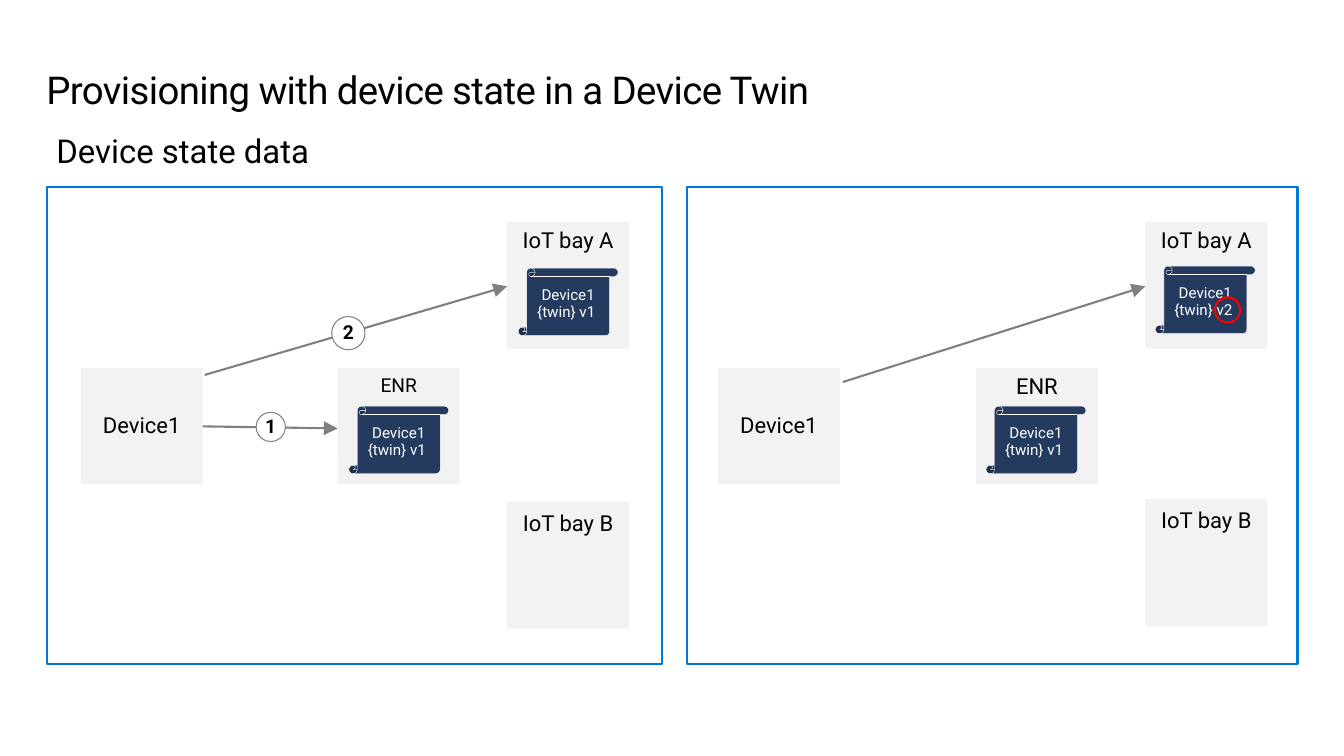
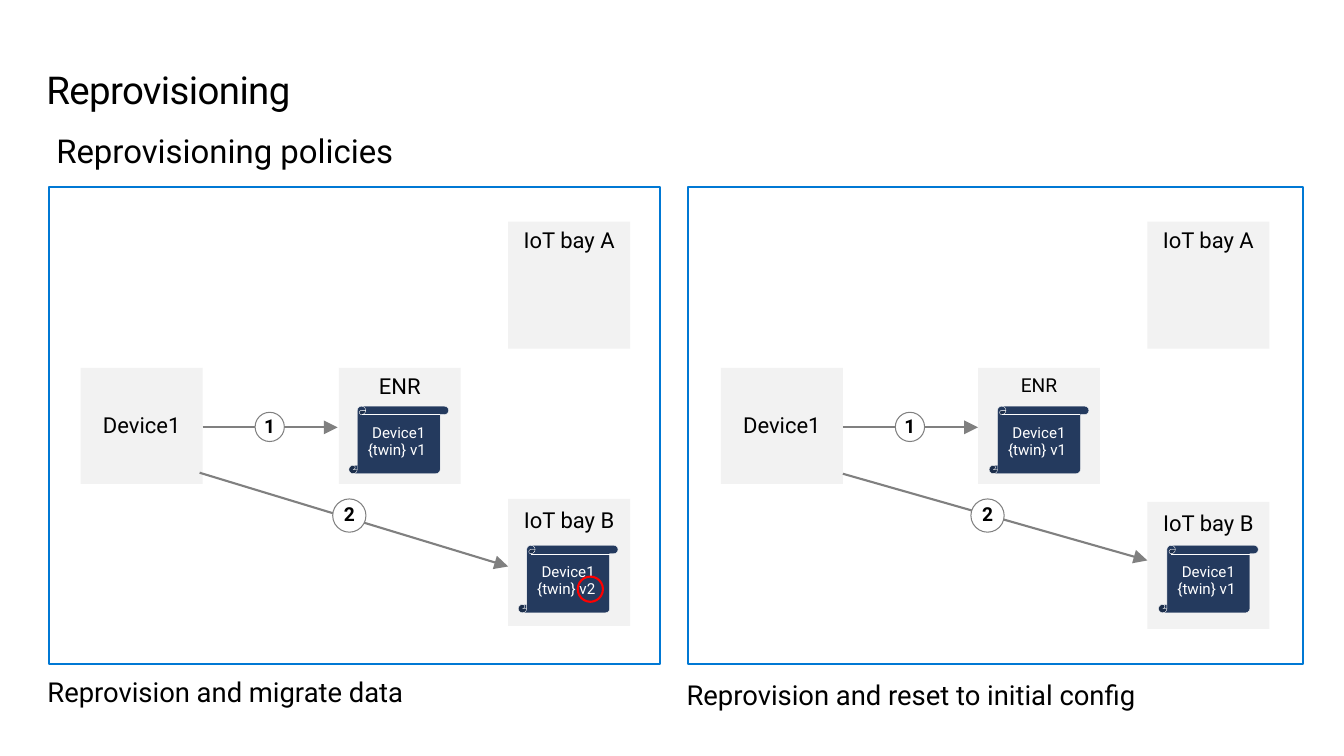
from dataclasses import dataclass
from typing import Any, NamedTuple

from pptx import Presentation
from pptx.dml.color import RGBColor
from pptx.enum.shapes import MSO_CONNECTOR as Wire, MSO_SHAPE as Kind
from pptx.enum.text import MSO_ANCHOR as Anchor, MSO_AUTO_SIZE as Auto, PP_ALIGN as Align
from pptx.oxml.ns import qn
from pptx.util import Inches, Pt

FONT = "Roboto"
BLACK, WHITE, GRAY = "000000", "FFFFFF", "808080"
BLUE, NAVY, PALE, RED = "0078D4", "243A5E", "F2F2F2", "FF0000"
TOP, TALL = 1.86, 4.73
MID = 3.65
SIDE, LOW, HIGH = 1.21, 1.15, 1.26
BAY_A = 2.2
LEAF = (0.99, 0.67)

Box = tuple[float, float, float, float]
Spot = tuple[float, float]


@dataclass(frozen=True)
class Look:
    size: float
    color: str = BLACK
    bold: bool = False
    align: Any = Align.CENTER
    anchor: Any = Anchor.TOP
    space: Any = None
    pad: Box = (0.1, 0.05, 0.1, 0.05)
    wrap: bool = True
    before: float = 0
    after: float = 0


FLUSH = {"align": Align.LEFT, "pad": (0, 0, 0, 0)}
TITLE = Look(27.4, space=Pt(31.4), **FLUSH)
HEAD = Look(23.5, align=Align.LEFT, pad=(0.1, 0, 0, 0), before=2, after=4)
NODE = Look(15.7, anchor=Anchor.MIDDLE, space=0.9)
NAME = Look(15.7)
SMALL = Look(13.7)
BASE = Look(15.7, space=0.9, pad=(0.1, 0.1, 0.1, 0.05))
TWIN = Look(10.8, WHITE, anchor=Anchor.MIDDLE, space=0.9)
DIGIT = Look(13.7, bold=True, anchor=Anchor.MIDDLE, space=0.9, pad=(0, 0, 0, 0), wrap=False)


class Grid(NamedTuple):
    wide: float
    node: float
    desk: float
    bay: float
    base: float
    leaf: float
    label: Look


BROAD = Grid(6.1, 0.33, 2.88, 4.56, 4.98, 0.11, SMALL)
SLIM = Grid(6.06, 0.31, 2.87, 4.55, 4.95, 0.1, NAME)


class Link(NamedTuple):
    start: Spot
    end: Spot


class Badge(NamedTuple):
    text: str
    at: Spot
    size: float


class Leaf(NamedTuple):
    top: float
    text: str
    ring: bool = False


class Panel(NamedTuple):
    left: float
    grid: Grid
    leaf: Leaf
    links: list[Link]
    badges: list[Badge]


class Note(NamedTuple):
    text: str
    at: Box
    look: Look


class Page(NamedTuple):
    title: str
    head: str
    panels: list[Panel]
    notes: list[Note]


ONE, TWO = "Device1 {twin} v1 ", "Device1 {twin} v2 "

PAGES = [
    Page("Provisioning with device state in a Device Twin", "Device state data", [
        Panel(0.47, BROAD, Leaf(2.66, ONE),
              [Link((1.56, 3.72), (4.56, 2.84)), Link((1.54, 4.23), (2.88, 4.25))],
              [Badge("1", (2.07, 4.09), 0.29), Badge("2", (2.82, 3.14), 0.33)]),
        Panel(6.81, SLIM, Leaf(2.64, TWO, True), [Link((1.55, 3.79), (4.55, 2.84))], []),
    ], []),
    Page("Reprovisioning", "Reprovisioning policies", [
        Panel(6.82, BROAD, Leaf(5.41, ONE),
              [Link((1.54, 4.24), (2.88, 4.24)), Link((1.54, 4.7), (4.56, 5.56))],
              [Badge("1", (2.06, 4.09), 0.29), Badge("2", (2.81, 4.95), 0.33)]),
        Panel(0.49, SLIM, Leaf(5.41, TWO, True),
              [Link((1.52, 4.24), (2.86, 4.24)), Link((1.49, 4.69), (4.55, 5.62))],
              [Badge("1", (2.04, 4.09), 0.29), Badge("2", (2.81, 4.95), 0.33)]),
    ], [
        Note("Reprovision and migrate data", (0.47, 6.73, 4.81, 0.3),
             Look(19.6, space=0.9, after=5.9, **FLUSH)),
        Note("Reprovision and reset to initial config", (6.81, 6.73, 4.81, 0.33),
             Look(19.6, **FLUSH)),
    ]),
]


def hue(code: str) -> RGBColor:
    return RGBColor.from_string(code)


def apply(part: Any, form: dict[str, Any]) -> None:
    for key, value in form.items():
        setattr(part, key, value)


def write(shape: Any, text: str, look: Look, auto: Any = Auto.NONE) -> Any:
    frame = shape.text_frame
    left, top, right, foot = map(Inches, look.pad)
    apply(frame, {
        "margin_left": left, "margin_top": top, "margin_right": right, "margin_bottom": foot,
        "word_wrap": look.wrap, "vertical_anchor": look.anchor, "auto_size": auto,
    })
    line = frame.paragraphs[0]
    apply(line, {
        "alignment": look.align, "line_spacing": look.space,
        "space_before": Pt(look.before), "space_after": Pt(look.after),
    })
    run = line.add_run()
    run.text = text
    apply(run.font, {"name": FONT, "size": Pt(look.size), "bold": look.bold})
    run.font.color.rgb = hue(look.color)
    return run


def stroke(line: Any, code: str, width: float) -> None:
    line.color.rgb = hue(code)
    line.width = Pt(width)


def draw(slide: Any, kind: Any, at: Box, fill: str = "", edge: str = "",
         width: float = 1.5) -> Any:
    shape = slide.shapes.add_shape(kind, *map(Inches, at))
    shape.shadow.inherit = False
    if fill:
        shape.fill.solid()
        shape.fill.fore_color.rgb = hue(fill)
    else:
        shape.fill.background()
    if edge:
        stroke(shape.line, edge, width)
    else:
        shape.line.fill.background()
    return shape


def label(slide: Any, text: str, at: Box, look: Look) -> None:
    box = slide.shapes.add_textbox(*map(Inches, at))
    write(box, text, look, Auto.SHAPE_TO_FIT_TEXT)


def arrow(slide: Any, left: float, link: Link) -> None:
    (ax, ay), (bx, by) = link
    ends = map(Inches, (left + ax, ay, left + bx, by))
    wire = slide.shapes.add_connector(Wire.STRAIGHT, *ends)
    stroke(wire.line, GRAY, 1.5)
    edge = wire.line._get_or_add_ln()
    tip = {"type": "triangle", "w": "lg", "len": "lg"}
    edge.append(edge.makeelement(qn("a:tailEnd"), tip))
    props = wire._element.spPr
    props.append(props.makeelement(qn("a:effectLst"), {}))


def scroll(slide: Any, left: float, leaf: Leaf) -> None:
    shape = draw(slide, Kind.VERTICAL_SCROLL, (left, leaf.top, *LEAF), NAVY, WHITE, 0.25)
    write(shape, leaf.text, TWIN)
    if leaf.ring:
        draw(slide, Kind.OVAL, (left + 0.59, leaf.top + 0.31, 0.25, 0.25), edge=RED)


def panel(slide: Any, item: Panel) -> None:
    left, grid = item.left, item.grid
    draw(slide, Kind.RECTANGLE, (left, TOP, grid.wide, TALL), edge=BLUE)
    for text, dx, top, high, look in (
        ("Device1", grid.node, MID, LOW, NODE),
        ("ENR", grid.desk, MID, LOW, grid.label),
        ("IoT bay A", grid.bay, BAY_A, HIGH, NAME),
        ("IoT bay B", grid.bay, grid.base, HIGH, BASE),
    ):
        write(draw(slide, Kind.RECTANGLE, (left + dx, top, SIDE, high), PALE), text, look)
    for link in item.links:
        arrow(slide, left, link)
    for text, (dx, top), size in item.badges:
        write(draw(slide, Kind.OVAL, (left + dx, top, size, size), WHITE, GRAY, 0.75),
              text, DIGIT)
    for dx, leaf in ((grid.desk, Leaf(4.03, ONE)), (grid.bay, item.leaf)):
        scroll(slide, left + dx + grid.leaf, leaf)


def build(deck: Any, page: Page) -> None:
    slide = deck.slides.add_slide(deck.slide_layouts[5])
    title = slide.shapes.title
    apply(title, dict(zip(("left", "top", "width", "height"),
                          map(Inches, (0.46, 0.68, 12.41, 0.44)))))
    run = write(title, page.title, TITLE, Auto.SHAPE_TO_FIT_TEXT)
    run.font._element.set("spc", "-42")
    label(slide, page.head, (0.46, 1.3, 12.42, 0.4), HEAD)
    for item in page.panels:
        panel(slide, item)
    for note in page.notes:
        label(slide, *note)


def main() -> None:
    deck = Presentation()
    deck.slide_width, deck.slide_height = Inches(13.33), Inches(7.5)
    for page in PAGES:
        build(deck, page)
    deck.save("out.pptx")


if __name__ == "__main__":
    main()
